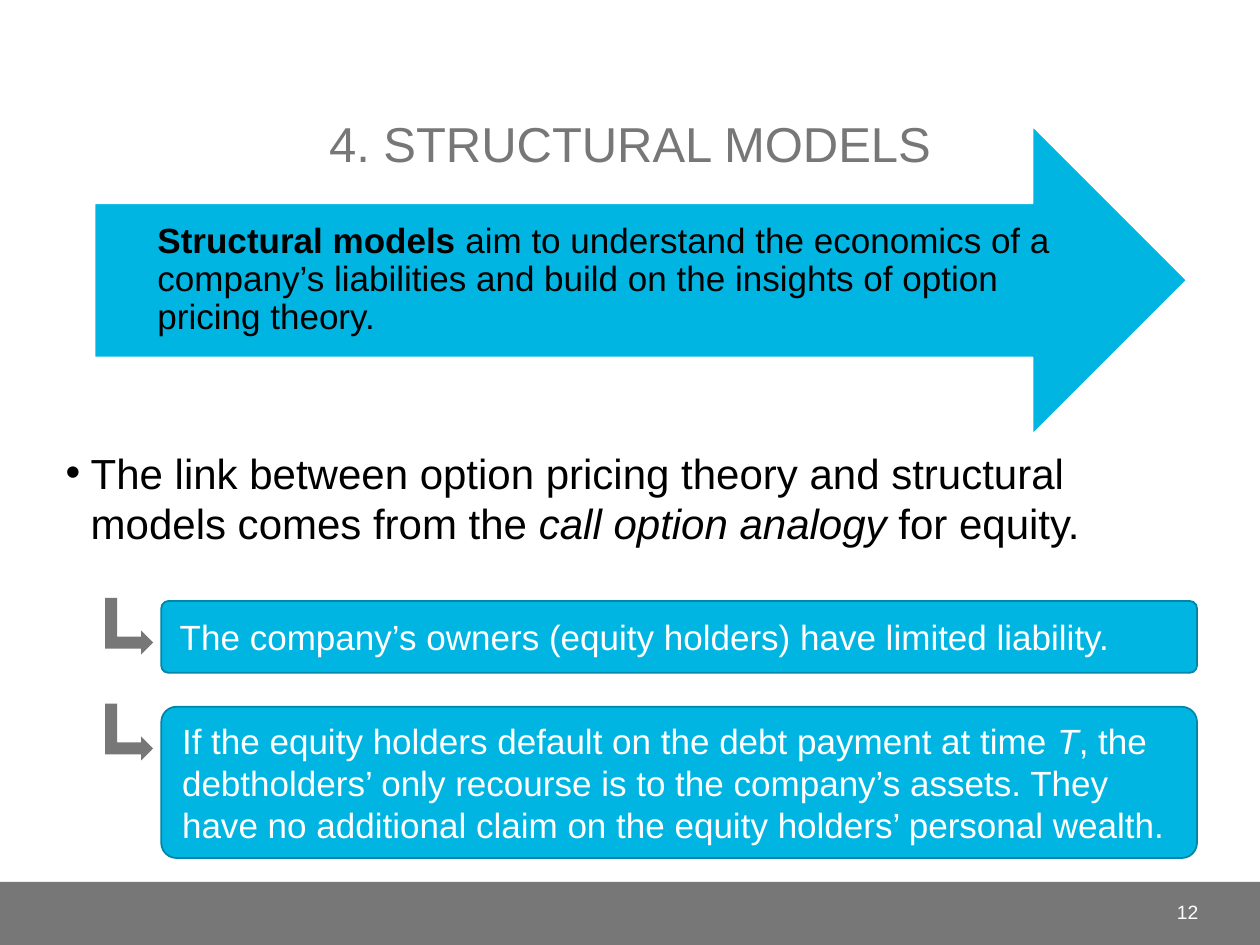
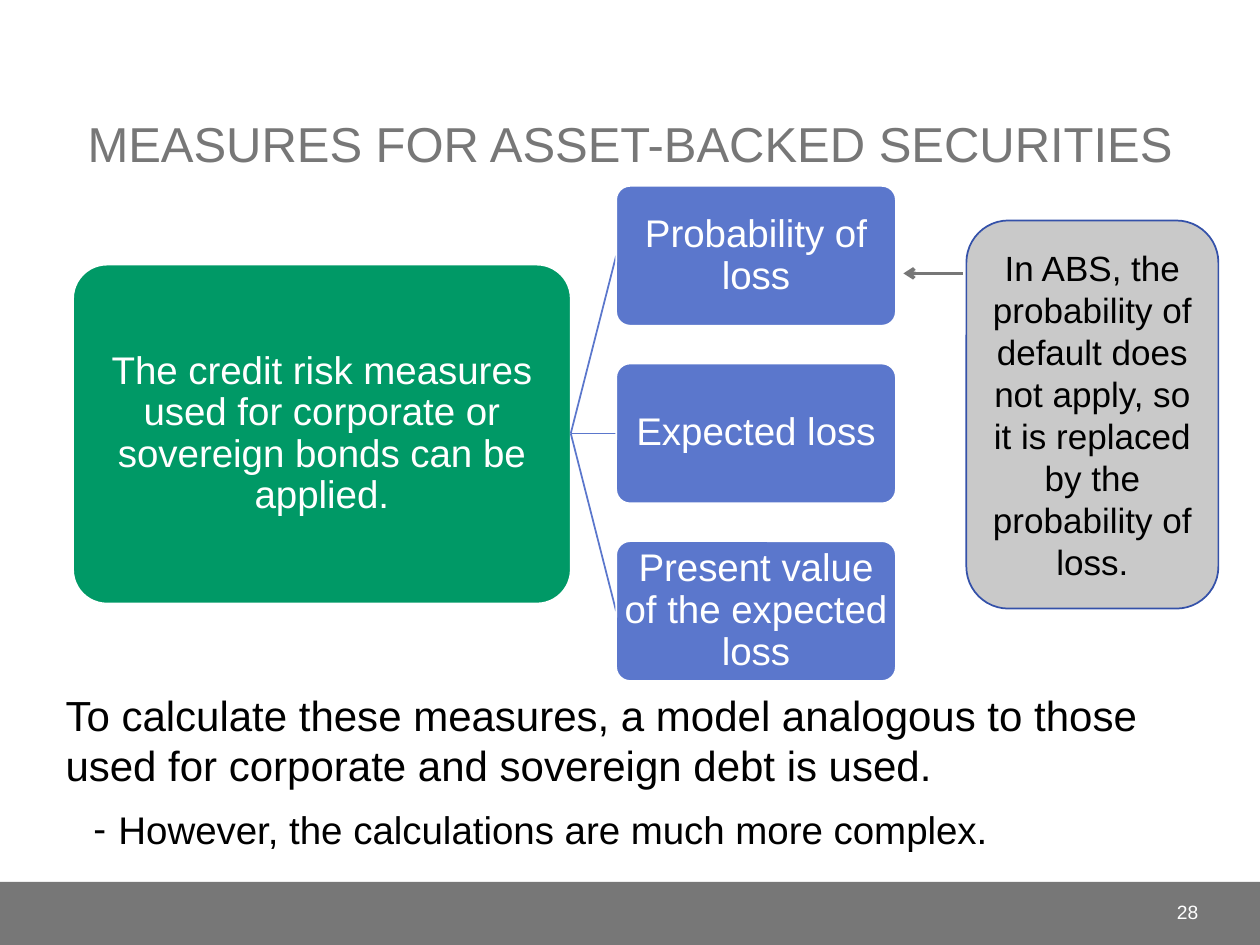
"""Build two credit-analysis slides: structural models and asset-backed securities."""
from lxml import etree
from pptx import Presentation
from pptx.dml.color import RGBColor
from pptx.enum.shapes import MSO_CONNECTOR, MSO_SHAPE
from pptx.enum.text import MSO_ANCHOR, MSO_AUTO_SIZE, PP_ALIGN
from pptx.oxml.ns import qn
from pptx.util import Inches, Pt

LEFT, CENTER, RIGHT = PP_ALIGN.LEFT, PP_ALIGN.CENTER, PP_ALIGN.RIGHT
TOP, MIDDLE, BOTTOM = MSO_ANCHOR.TOP, MSO_ANCHOR.MIDDLE, MSO_ANCHOR.BOTTOM
RECTANGLE, ROUNDED = MSO_SHAPE.RECTANGLE, MSO_SHAPE.ROUNDED_RECTANGLE
RIGHT_ARROW, BENT_ARROW = MSO_SHAPE.RIGHT_ARROW, MSO_SHAPE.BENT_UP_ARROW
STRAIGHT = MSO_CONNECTOR.STRAIGHT
NO_AUTOFIT = MSO_AUTO_SIZE.NONE

FONT = "Arial"
BLACK = RGBColor(0x00, 0x00, 0x00)
WHITE = RGBColor(0xFF, 0xFF, 0xFF)
GRAY = RGBColor(0x77, 0x77, 0x77)
LIGHT_GRAY = RGBColor(0xC9, 0xC9, 0xC9)
CYAN = RGBColor(0x00, 0xB5, 0xE2)
DARK_CYAN = RGBColor(0x00, 0x86, 0xA7)
GREEN = RGBColor(0x00, 0x99, 0x66)
BLUE = RGBColor(0x5B, 0x77, 0xCC)
DARK_BLUE = RGBColor(0x34, 0x51, 0xA9)

STRUCTURAL = {
    "title": "4. STRUCTURAL MODELS",
    "number": 12,
    "body_at": (0.42, 3.5, 8.67, 1.08),
    "body": [
        {"spans": [("The link between option pricing theory and structural models "
                    "comes from the ", ""), ("call option analogy ", "i"),
                   ("for equity.", "")],
         "size": 24, "bullet": "•", "margin": 0.2, "spacing": 1.0},
    ],
}
AIM = [("Structural models ", "b"),
       ("aim to understand the economics of a company’s liabilities and build on "
        "the insights of option pricing theory.", "")]
CONSEQUENCES = [
    (4.77, 0.57, [("The company’s owners (equity holders) have limited liability.", "")]),
    (5.61, 1.2, [("If the equity holders default on the debt payment at time ", ""),
                 ("T", "i"),
                 (", the debtholders’ only recourse is to the company’s assets. They "
                  "have no additional claim on the equity holders’ personal wealth.", "")]),
]

SECURITIES = {
    "title": "MEASURES FOR ASSET-BACKED SECURITIES",
    "number": 28,
    "body_at": (0.42, 5.42, 9.16, 1.67),
    "body": [
        {"spans": [("To calculate these measures, a model analogous to those used for "
                    "corporate and sovereign debt is used.", "")],
         "size": 24, "bullet": None, "margin": 0, "spacing": 1.0},
        {"spans": [("However, the calculations are much more complex.", "")],
         "size": 22, "bullet": "-", "margin": 0.42, "spacing": 0.9},
    ],
}
PREMISE = "The credit risk measures used for corporate or sovereign bonds can be applied."
MEASURES = ["Probability of loss", "Expected loss", "Present value of the expected loss"]
NOTE = ("In ABS, the probability of default does not apply, so it is replaced by the "
        "probability of loss.")


def inches(values):
    return [Inches(value) for value in values]


def write_spans(para, spans, size, color, align=LEFT, spacing=1.0):
    """Fill a paragraph with styled spans; a style is "", "b" or "i"."""
    para.alignment = align
    para.line_spacing = spacing
    for text, style in spans:
        span = para.add_run()
        span.text = text
        span.font.name = FONT
        span.font.size = Pt(size)
        span.font.color.rgb = color
        span.font.bold = style == "b"
        span.font.italic = style == "i"


def set_frame(frame, anchor, margins=(0.1, 0.05, 0.1, 0.05)):
    """Set wrapping, anchor and left, top, right, bottom margins."""
    frame.word_wrap = True
    frame.auto_size = NO_AUTOFIT
    frame.vertical_anchor = anchor
    (frame.margin_left, frame.margin_top,
     frame.margin_right, frame.margin_bottom) = inches(margins)


def set_bullet(para, bullet, margin):
    """Give a paragraph its hanging indent and bullet character, or none."""
    properties = para._p.get_or_add_pPr()
    properties.set("marL", str(Inches(margin)))
    properties.set("indent", str(Inches(-0.2 if bullet else 0)))
    if bullet:
        etree.SubElement(properties, qn("a:buFont"), typeface=FONT)
        etree.SubElement(properties, qn("a:buChar"), char=bullet)
    else:
        etree.SubElement(properties, qn("a:buNone"))


def add_box(slide, kind, at, fill, line=None, corner=None):
    """Add a flat preset shape."""
    box = slide.shapes.add_shape(kind, *inches(at))
    box.shadow.inherit = False
    box.fill.solid()
    box.fill.fore_color.rgb = fill
    if line is None:
        box.line.fill.background()
    else:
        box.line.color.rgb = line
        box.line.width = Pt(1)
    if corner is not None:
        box.adjustments[0] = corner
    return box


def label(box, spans, size, color, align=CENTER, spacing=1.0, margins=(0.1, 0.05, 0.1, 0.05)):
    """Write vertically centred text into a box."""
    set_frame(box.text_frame, MIDDLE, margins)
    write_spans(box.text_frame.paragraphs[0], spans, size, color, align, spacing)


def add_line(slide, start, end, color, width, arrow=False):
    """Add a flat straight connector, with an optional arrowhead at its end."""
    line = slide.shapes.add_connector(STRAIGHT, *inches(start + end))
    line.line.color.rgb = color
    line.line.width = Pt(width)
    if arrow:
        etree.SubElement(line.line._get_or_add_ln(), qn("a:tailEnd"), type="arrow")
    etree.SubElement(line._element.spPr, qn("a:effectLst"))


def add_page(deck, content):
    """Add a slide with the shared band, title, body list and page number."""
    slide = deck.slides.add_slide(deck.slide_layouts[1])
    title, body = slide.placeholders
    for placeholder, at, anchor in ((title, (0.42, 0.17, 9.16, 1.25), BOTTOM),
                                    (body, content["body_at"], TOP)):
        (placeholder.left, placeholder.top,
         placeholder.width, placeholder.height) = inches(at)
        set_frame(placeholder.text_frame, anchor)
    write_spans(title.text_frame.paragraphs[0], [(content["title"], "")], 28, GRAY, CENTER)

    for index, item in enumerate(content["body"]):
        frame = body.text_frame
        para = frame.add_paragraph() if index else frame.paragraphs[0]
        write_spans(para, item["spans"], item["size"], BLACK, spacing=item["spacing"])
        para.space_before = para.space_after = Pt(6)
        set_bullet(para, item["bullet"], item["margin"])

    add_box(slide, RECTANGLE, (0, 7, 10, 0.5), GRAY)
    number = slide.shapes.add_textbox(*inches((8.75, 7.04, 0.86, 0.4)))
    label(number, [(str(content["number"]), "")], 11, WHITE, RIGHT)
    return slide


def build_structural(deck):
    """Big arrow with the aim, then the consequences of limited liability."""
    slide = add_page(deck, STRUCTURAL)
    aim = add_box(slide, RIGHT_ARROW, (0.75, 1, 8.67, 2.45), CYAN, WHITE)
    label(aim, AIM, 20, BLACK, LEFT, 0.9, (0.5, 0, 0.42, 0))
    for top, height, spans in CONSEQUENCES:
        box = add_box(slide, ROUNDED, (1.28, top, 8.22, height), CYAN, DARK_CYAN, 0.1)
        label(box, spans, 20, WHITE, LEFT, margins=(0.13, 0.05, 0.03, 0.05))
        pointer = add_box(slide, BENT_ARROW, (0.8, top + 0.01, 0.45, 0.38), GRAY)
        pointer.rotation = 90


def build_securities(deck):
    """Tree from the premise to its measures, with a note on the first one."""
    slide = add_page(deck, SECURITIES)
    tight = (0.02, 0.02, 0.02, 0.02)
    premise_left, premise_width, middle = 0.58, 3.95, 3.44
    measure_left, measure_height, step = 4.89, 1.11, 1.41

    premise = add_box(slide, ROUNDED, (premise_left, 2.1, premise_width, 2.69),
                      GREEN, WHITE, 0.1)
    label(premise, [(PREMISE, "")], 22, WHITE, spacing=0.9, margins=tight)
    for index, measure in enumerate(MEASURES):
        center = middle + (index - 1) * step
        add_line(slide, (premise_left + premise_width, middle),
                 (measure_left, center), BLUE, 1)
        box = add_box(slide, ROUNDED,
                      (measure_left, center - measure_height / 2, 2.22, measure_height),
                      BLUE, WHITE, 0.1)
        label(box, [(measure, "")], 22, WHITE, spacing=0.9, margins=tight)

    note = add_box(slide, ROUNDED, (7.67, 1.75, 2, 3.08), LIGHT_GRAY, DARK_BLUE)
    label(note, [(NOTE, "")], 20, BLACK)
    add_line(slide, (7.64, 2.17), (7.17, 2.17), GRAY, 2, arrow=True)


def main():
    deck = Presentation()
    deck.slide_width, deck.slide_height = Inches(10), Inches(7.5)
    build_structural(deck)
    build_securities(deck)
    deck.save("out.pptx")


if __name__ == "__main__":
    main()
